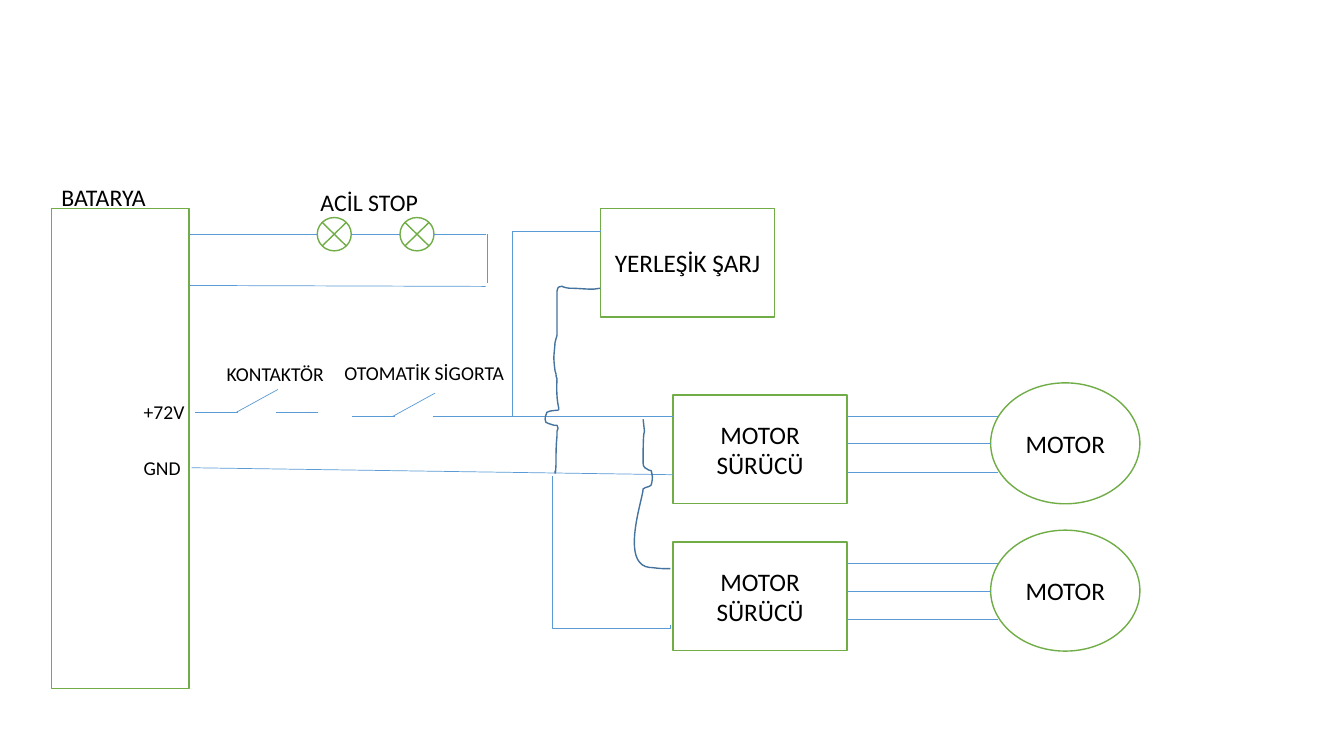
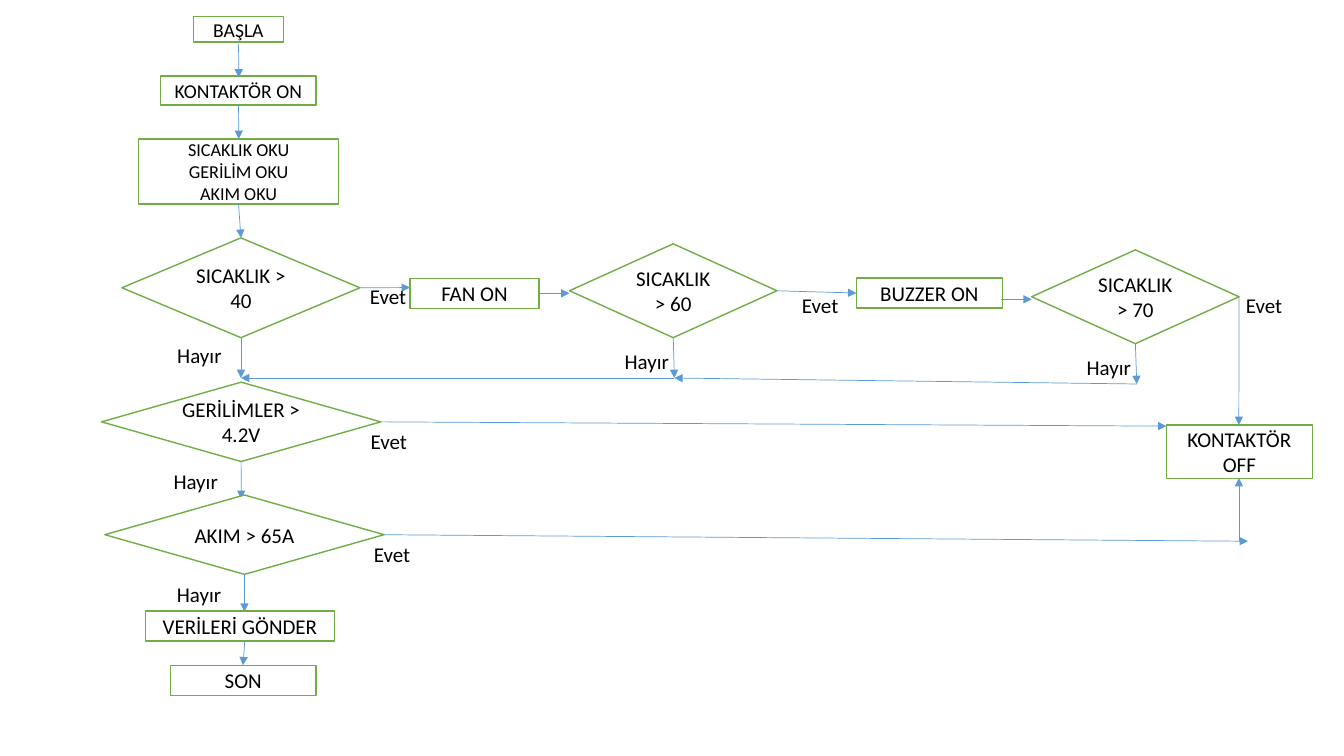
from lxml.etree import SubElement
from pptx import Presentation
from pptx.dml.color import RGBColor
from pptx.enum.shapes import MSO_CONNECTOR as LINK, MSO_SHAPE as SHAPE
from pptx.enum.text import MSO_ANCHOR as ANCHOR, MSO_AUTO_SIZE as FIT, PP_ALIGN as ALIGN
from pptx.oxml.ns import qn
from pptx.util import Pt

WHITE = RGBColor(0xFF, 0xFF, 0xFF)
BLACK = RGBColor(0, 0, 0)
GREEN = RGBColor(0x70, 0xAD, 0x47)
BLUE = RGBColor(0x5B, 0x9B, 0xD5)
DARK_BLUE = RGBColor(0x43, 0x73, 0x9E)
FONT = "Calibri"

GROUND_CURVE = [
    (-1.4, 0, -3.6, 0.7, -5, 0.7), (-10.8, 0.7, -16.6, 0, -22.3, 0),
    (-23, 0, -26.6, -0.7, -27.4, -1.4), (-30.2, -0.7, -30.2, -1.4, -31, 2.2),
    (-31, 13, -31, 23.8, -31, 33.8), (-31.7, 36, -32.4, 38.9, -32.4, 38.9),
    (-33.1, 49, -33.8, 48.2, -32.4, 59), (-32.4, 59.8, -32.4, 60.5, -31.7, 61.2),
    (-31.7, 61.9, -31.7, 63.4, -31, 64.8), (-32.4, 92.2, -24.5, 85.7, -36, 87.8),
    (-36.7, 88.6, -37.4, 88.6, -38.2, 88.6),
    (-38.9, 90.7, -40.3, 92.9, -38.9, 95.8), (-37.4, 97.2, -36, 96.5, -35.3, 97.2),
    (-33.1, 97.9), (-31, 97.9), (-31, 98.6, -30.2, 99.4, -30.2, 100.1),
    (-30.2, 100.8, -30.2, 101.5, -31, 102.2), (-31, 103, -31, 104.4, -31, 105.8),
    (-31.7, 112.3, -31.7, 119.5, -31.7, 126), (-32.4, 139.7, -32.4, 126, -32.4, 132.5),
]
SUPPLY_CURVE = [
    (2.2, 20.2, 0, -4.3, 0, 27.4), (0, 33.1, -0.7, 33.8, 3.6, 36),
    (3.6, 36, 5, 36.7, 5.8, 36.7), (6.5, 40.3, 7.2, 41, 5.8, 46.8),
    (5, 48.2, 4.3, 47.5, 3.6, 48.2), (2.2, 48.2, 1.4, 49, 0, 49.7),
    (0, 53.7, -6.3, 72.9, -6.3, 87.8), (-6.3, 97.1, -3.8, 104.7, 4.3, 105.8),
    (7.2, 105.8, 10.8, 106.6, 13.7, 106.6), (15.8, 106.6, 18, 106.6, 19.4, 106.6),
]


def write(frame, text, size, align):
    """Fill a text frame, one paragraph per line of text."""
    frame.text = text
    for paragraph in frame.paragraphs:
        paragraph.alignment = align
        paragraph.font.name = FONT
        paragraph.font.size = Pt(size)
        paragraph.font.color.rgb = BLACK


def node(slide, box, text="", size=15, kind=SHAPE.RECTANGLE):
    """Add a white shape with a green outline and centred text."""
    shape = slide.shapes.add_shape(kind, *map(Pt, box))
    shape.shadow.inherit = False
    shape.fill.solid()
    shape.fill.fore_color.rgb = WHITE
    shape.line.color.rgb = GREEN
    shape.line.width = Pt(1)
    if text:
        shape.text_frame.vertical_anchor = ANCHOR.MIDDLE
        write(shape.text_frame, text, size, ALIGN.CENTER)


def label(slide, box, text, size, wrap=True):
    """Add free-standing text, aligned left."""
    frame = slide.shapes.add_textbox(*map(Pt, box)).text_frame
    frame.word_wrap = wrap
    frame.auto_size = FIT.SHAPE_TO_FIT_TEXT
    write(frame, text, size, ALIGN.LEFT)


def wire(slide, start, end, kind=LINK.STRAIGHT):
    """Add a thin blue line and return it."""
    line = slide.shapes.add_connector(kind, *map(Pt, (*start, *end)))
    line.line.color.rgb = BLUE
    line.line.width = Pt(0.5)
    SubElement(line._element.spPr, qn("a:effectLst"))
    return line


def arrow(slide, start, end):
    """Add a wire with a triangle at its end."""
    outline = wire(slide, start, end).line._get_or_add_ln()
    SubElement(outline, qn("a:tailEnd"), type="triangle")


def elbow_wire(slide, start, end, turn, bend):
    """Add a vertical-first elbow, turned by 90 or 270 degrees."""
    sign = 1 if turn == 90 else -1
    middle_x, middle_y = (start[0] + end[0]) / 2, (start[1] + end[1]) / 2
    dx, dy = sign * (start[1] - middle_y), sign * (middle_x - start[0])
    line = wire(slide, (middle_x + dx, middle_y + dy),
                (middle_x - dx, middle_y - dy), LINK.ELBOW)
    properties = line._element.spPr
    properties.find(qn("a:xfrm")).set("rot", str(turn * 60000))
    geometry = properties.find(qn("a:prstGeom"))
    adjustments = geometry.find(qn("a:avLst"))
    if adjustments is None:
        adjustments = SubElement(geometry, qn("a:avLst"))
    SubElement(adjustments, qn("a:gd"), name="adj1", fmla=f"val {bend}")


def curved_wire(slide, origin, segments):
    """Draw lines (2 numbers) and cubic curves (6 numbers) from an origin."""
    ends = [(0, 0)] + [segment[-2:] for segment in segments]
    placed = [(Pt(origin[0] + x), Pt(origin[1] + y)) for x, y in ends]
    builder = slide.shapes.build_freeform(*placed[0])
    builder.add_line_segments(placed[1:], close=False)
    curve = builder.convert_to_shape()
    curve.shadow.inherit = False
    curve.fill.background()
    curve.line.color.rgb = DARK_BLUE
    curve.line.width = Pt(1)
    left, top = min(x for x, _ in ends), min(y for _, y in ends)
    steps = list(curve._element.spPr.iter(qn("a:lnTo")))
    for step, segment in zip(steps, segments):
        if len(segment) == 6:
            bezier = SubElement(step.getparent(), qn("a:cubicBezTo"))
            for x, y in zip(segment[::2], segment[1::2]):
                SubElement(bezier, qn("a:pt"), x=str(Pt(x - left)), y=str(Pt(y - top)))
            step.getparent().replace(step, bezier)


def battery(slide, box):
    """Draw the battery with its name and terminals."""
    left, top = box[:2]
    node(slide, box)
    label(slide, (left, top - 22.3, 87.8, 28), "BATARYA", 17)
    label(slide, (left + 58.8, top + 133.2, 43.9, 24.5), "+72V", 14, False)
    label(slide, (left + 58.8, top + 172.8, 41, 24.5), "GND", 14, False)


def emergency_stop(slide, box):
    """Draw the stop loop with its two junctions."""
    left, top, width, height = box
    right, bottom = left + width, top + height
    lamp_width, lamp_height = 24.3, 23.8
    first, second = left + 91.2, left + 150.3
    for lamp in (first, second):
        node(slide, (lamp, top - lamp_height / 2, lamp_width, lamp_height),
             kind=SHAPE.FLOWCHART_SUMMING_JUNCTION)
    for start, end in ((left, first), (first + lamp_width, second),
                       (second + lamp_width, right - 1.4)):
        wire(slide, (start, top), (end, top))
    wire(slide, (right, top), (right, bottom - 1.4))
    wire(slide, (right - 1.4, bottom + 0.7), (left, bottom))
    label(slide, (left + 86.4, top - 37, 87.8, 28), "ACİL STOP", 17)


def switch(slide, left, top, exit_length, name, name_box):
    """Draw an open switch with its name placed relative to it."""
    wire(slide, (left, top), (left + 30.2, top))
    wire(slide, (left + 28.8, top), (left + 59, top - 16.6))
    wire(slide, (left + 57.6, top), (left + 57.6 + exit_length, top))
    dx, dy, width = name_box
    label(slide, (left + dx, top + dy, width, 24.5), name, 14, False)


def charger(slide, box, supply):
    """Draw the charger with its supply and ground wires."""
    left, top = box[:2]
    node(slide, box, "YERLEŞİK ŞARJ", 18)
    elbow_wire(slide, supply, (left, top + 15.4), 90, 99500)
    curved_wire(slide, (left, top + 57), GROUND_CURVE)


def motor_drive(slide, box):
    """Draw a driver, its motor and three phase wires."""
    left, top, width, height = box
    motor = left + 226.9
    node(slide, box, "MOTOR SÜRÜCÜ", 18)
    node(slide, (motor, top - 8.6, 106.6, 86.4), "MOTOR", 18, SHAPE.OVAL)
    for drop, reach in ((15.4, 5), (34.8, 0), (55, 5)):
        wire(slide, (left + width, top + drop), (motor + reach, top + drop))


def wiring_slide(slide):
    """Build the wiring diagram."""
    supply = (365.8, 297.4)
    battery(slide, (36.7, 149, 98.3, 342.7))
    for top in (282.1, 387.3):
        motor_drive(slide, (480.7, top, 124.5, 77.6))
    wire(slide, supply, (480.7, supply[1]))
    wire(slide, (136.8, 334.1), (480.7, 339.1))
    curved_wire(slide, (459.4, 299.5), SUPPLY_CURVE)
    elbow_wire(slide, (394.6, 339.8), (478.8, 446.4), 270, 102000)
    switch(slide, 139.5, 294.8, 30.2, "KONTAKTÖR", (15.3, -39.9, 84.2))
    switch(slide, 251.8, supply[1], 56.4, "OTOMATİK SİGORTA", (-12.8, -43.2, 129.6))
    emergency_stop(slide, (135.4, 167.3, 212.8, 36.6))
    charger(slide, (428.9, 148.9, 124.4, 77.6), supply)


def decision(slide, box, text, yes_end, no_end, yes_shift, no_shift):
    """Draw a decision with labelled yes and no exits."""
    left, top, width, height = box
    right, bottom = left + width, top + height
    centre, middle = left + width / 2, top + height / 2
    node(slide, box, text, kind=SHAPE.FLOWCHART_DECISION)
    arrow(slide, (right, middle), yes_end)
    arrow(slide, (centre, bottom), no_end)
    label(slide, (right + yes_shift[0], middle + yes_shift[1], 46.1, 25.2), "Evet", 15)
    label(slide, (centre + no_shift[0], bottom + no_shift[1], 46.8, 25.2),
          "Hayır", 15, False)


def start_steps(slide):
    """Draw the steps that lead to the first decision."""
    node(slide, (138.2, 11.9, 64.2, 18), "BAŞLA", 14)
    node(slide, (114.9, 54.2, 110.9, 20.9), "KONTAKTÖR ON", 14)
    node(slide, (99.1, 99.2, 142.6, 46.4), "SICAKLIK OKU\nGERİLİM OKU\nAKIM OKU", 13)
    arrow(slide, (170.4, 31.7), (170.6, 55.4))
    arrow(slide, (170.4, 74.9), (170.6, 99.2))
    arrow(slide, (170.4, 145.6), (172.1, 169.9))


def temperature_row(slide):
    """Draw the temperature decisions and what they switch on."""
    decision(slide, (87.1, 169.9, 170, 71.3), "SICAKLIK > 40",
             (292.8, 205.4), (172.1, 270), (0, -6.8), (-52.6, 0))
    node(slide, (292.8, 198.9, 92.2, 21.5), "FAN ON")
    arrow(slide, (385, 209.5), (406.8, 209.5))
    decision(slide, (406.8, 174.2, 148.2, 67), "SICAKLIK > 60",
             (611.7, 209.3), (481.7, 270), (10.8, -2.5), (-41.8, 4.3))
    node(slide, (611.7, 198.5, 104.4, 21.5), "BUZZER ON")
    arrow(slide, (715, 213.8), (737, 213.8))
    decision(slide, (736.9, 178.5, 148.2, 67), "SICAKLIK > 70",
             (884.9, 303.5), (812, 274.3), (-2.3, -6.8), (-41.9, 4.3))
    arrow(slide, (812, 274.3), (481.7, 270))
    arrow(slide, (481.7, 270), (172.1, 270))


def limit_checks(slide):
    """Draw the voltage and current decisions and the cut-off."""
    node(slide, (833.2, 303.5, 104.2, 38.2), "KONTAKTÖR OFF")
    for left, top, text, yes_end, no_end in (
            (72.5, 273, "GERİLİMLER > 4.2V", (833.2, 304.4), (172.3, 356.4)),
            (74.9, 353.6, "AKIM > 65A", (891.4, 386.6), (174.6, 437))):
        decision(slide, (left, top, 199.5, 56.7), text, yes_end, no_end,
                 (-14.4, 1.3), (-55.4, 1.4))
    arrow(slide, (885, 386.6), (885, 341.5))


def end_steps(slide):
    """Draw the closing steps."""
    node(slide, (104.1, 436.5, 134.7, 21.5), "VERİLERİ GÖNDER")
    node(slide, (121.6, 475.2, 104.2, 21.5), "SON")
    arrow(slide, (174.8, 458.4), (173.6, 475.2))


def flow_slide(slide):
    """Build the flow chart."""
    start_steps(slide)
    temperature_row(slide)
    limit_checks(slide)
    end_steps(slide)


def main():
    """Build and save the presentation."""
    deck = Presentation()
    deck.slide_width, deck.slide_height = Pt(960), Pt(540)
    blank = deck.slide_layouts[6]
    for build in (wiring_slide, flow_slide):
        build(deck.slides.add_slide(blank))
    deck.save("out.pptx")


main()
